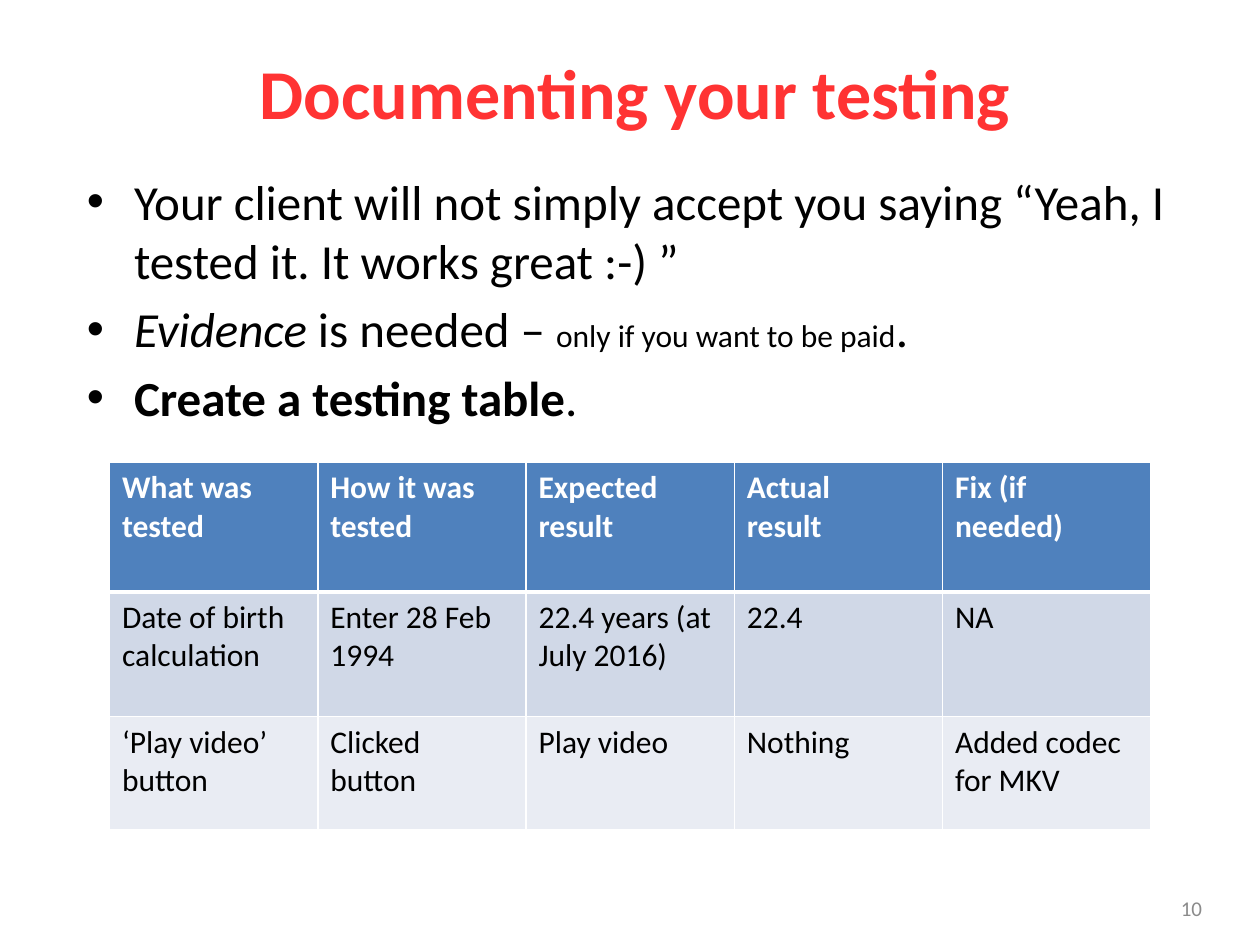
from lxml import etree
from pptx import Presentation
from pptx import util as u
from pptx.dml.color import RGBColor
from pptx.enum import text as t
from pptx.oxml.ns import qn

Pt = u.Pt
FONT = "Calibri"
RED, BLACK, WHITE, GREY = "FF3333", "000000", "FFFFFF", "8B8B8B"
HEAD, BANDS = "4F81BD", ("D0D8E7", "E9ECF3")

POINTS = [
    [("Your client will not simply accept you saying “Yeah, I tested it. "
      "It works great :-) ”", {})],
    [("Evidence", {"italic": True}), (" is needed – ", {}),
     ("only if you want to be paid", {"size": 18}), (".", {})],
    [("Create a testing table", {"bold": True}), (".", {})],
]
ROWS = [
    ["What was tested", "How it was tested", "Expected result",
     "Actual\nresult", "Fix (if needed)"],
    ["Date of birth calculation", "Enter 28 Feb 1994",
     "22.4 years (at July 2016)", "22.4", "NA"],
    ["‘Play video’ button", "Clicked button", "Play video", "Nothing",
     "Added codec for MKV"],
]


def color(code):
    return RGBColor.from_string(code)


def write(para, words, size=18, ink=BLACK, bold=False, italic=False):
    """Add one formatted run to a paragraph."""
    run = para.add_run()
    run.text = words
    font = run.font
    font.name, font.size = FONT, Pt(size)
    font.bold, font.italic = bold, italic
    font.color.rgb = color(ink)


def frame(slide, box, anchor=t.MSO_ANCHOR.TOP):
    """Add a wrapping text box and return its text frame."""
    body = slide.shapes.add_textbox(*map(Pt, box)).text_frame
    body.word_wrap = True
    body.vertical_anchor = anchor
    return body


def label(slide, box, words, align, **look):
    """Place one line of text, centred vertically in its box."""
    para = frame(slide, box, t.MSO_ANCHOR.MIDDLE).paragraphs[0]
    para.alignment = align
    write(para, words, **look)


def bullet(para, indent=27):
    props = para._p.get_or_add_pPr()
    props.set("marL", str(Pt(indent)))
    props.set("indent", str(-Pt(indent)))
    etree.SubElement(props, qn("a:buFont"), typeface="Arial")
    etree.SubElement(props, qn("a:buChar"), char="•")


def points(slide, box):
    """Place the bulleted list."""
    body = frame(slide, box)
    for i, parts in enumerate(POINTS):
        para = body.add_paragraph() if i else body.paragraphs[0]
        bullet(para)
        if i:
            para.space_before = Pt(5.6)
        for words, look in parts:
            write(para, words, **{"size": 28, **look})


def border(cell, side, width):
    line = etree.SubElement(cell._tc.get_or_add_tcPr(), qn("a:ln" + side),
                            w=str(Pt(width)))
    fill = etree.SubElement(line, qn("a:solidFill"))
    etree.SubElement(fill, qn("a:srgbClr"), val=WHITE)


def grid(slide, box, heights):
    """Place the testing table with equal columns."""
    table = slide.shapes.add_table(len(ROWS), len(ROWS[0]),
                                   *map(Pt, box)).table
    for col in table.columns:
        col.width = Pt(box[2] / len(ROWS[0]))
    for r, (row, high) in enumerate(zip(ROWS, heights)):
        table.rows[r].height = Pt(high)
        for c, words in enumerate(row):
            cell = table.cell(r, c)
            # Borders come before the fill; a thick rule sits under the header
            for side in "LRTB":
                rule = (side, r) in (("B", 0), ("T", 1))
                border(cell, side, 3 if rule else 0.96)
            cell.fill.solid()
            cell.fill.fore_color.rgb = color(BANDS[r - 1] if r else HEAD)
            for i, line in enumerate(words.split("\n")):
                body = cell.text_frame
                para = body.add_paragraph() if i else body.paragraphs[0]
                write(para, line, ink=BLACK if r else WHITE, bold=r == 0)


def main():
    deck = Presentation()
    deck.slide_width, deck.slide_height = Pt(720), Pt(540)
    slide = deck.slides.add_slide(deck.slide_layouts[6])
    # Title
    label(slide, (14.4, 21.6, 697, 61.2), "Documenting your testing",
          t.PP_ALIGN.CENTER, size=40, ink=RED, bold=True)
    # Bullets and table
    points(slide, (42.5, 94.3, 641.5, 158.4))
    grid(slide, (62.6, 264.2, 595, 210), (74.2, 71.2, 64.6))
    # Page number
    label(slide, (660.2, 508.3, 33.8, 20.9), "10", t.PP_ALIGN.RIGHT,
          size=12, ink=GREY)
    deck.save("out.pptx")


if __name__ == "__main__":
    main()
